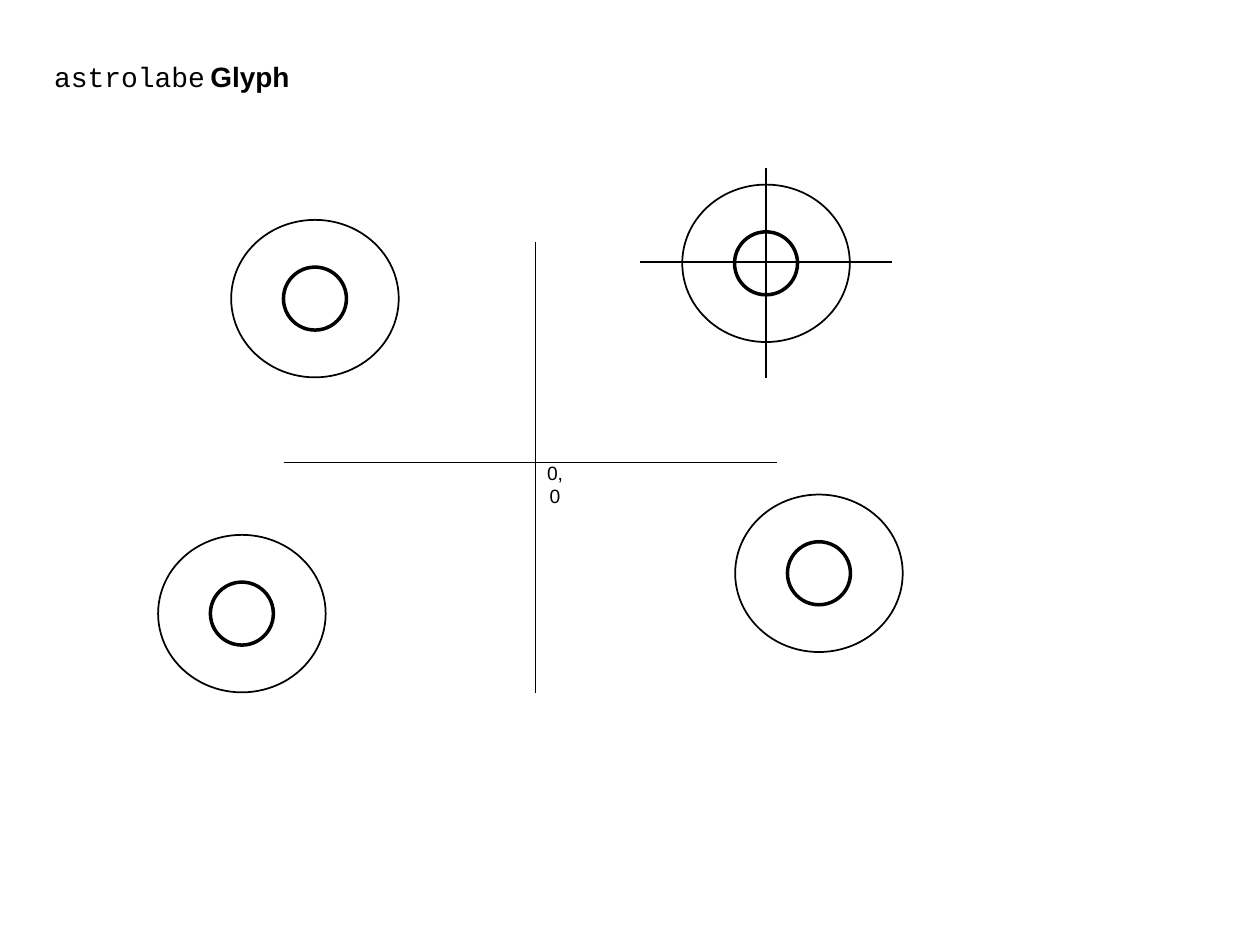
"""Build the astrolabe Glyph slide: four glyphs placed around an origin."""
from dataclasses import dataclass

from lxml.etree import SubElement
from pptx import Presentation
from pptx.dml.color import RGBColor
from pptx.enum.shapes import MSO_CONNECTOR as CONN, MSO_SHAPE as SHAPE
from pptx.enum.text import MSO_ANCHOR as ANCHOR, MSO_AUTO_SIZE as FIT, PP_ALIGN as ALIGN
from pptx.oxml.ns import qn
from pptx.util import Inches, Pt

COLORS = {"ink": "000000"}
INK = RGBColor.from_string(COLORS["ink"])


@dataclass(frozen=True)
class Ring:
    width: float
    height: float
    weight: float


@dataclass(frozen=True)
class Glyph:
    x: float
    y: float


@dataclass(frozen=True)
class Axis:
    x1: float
    y1: float
    x2: float
    y2: float


RINGS = [Ring(0.5, 0.5, 2), Ring(1.33, 1.25, 1)]
GLYPHS = [Glyph(6.08, 2.09), Glyph(6.5, 4.55), Glyph(1.92, 4.87), Glyph(2.5, 2.37)]
ORIGIN_AXES = [Axis(4.25, 1.92, 4.25, 5.5), Axis(2.25, 3.67, 6.17, 3.67)]
GLYPH_AXES = [Axis(5.08, 2.08, 7.08, 2.08), Axis(6.08, 1.33, 6.08, 3)]


def set_attrs(obj, values: dict) -> None:
    """Set each named attribute of an object."""
    for name, value in values.items():
        setattr(obj, name, value)


def draw_axis(slide, axis: Axis) -> None:
    """Draw one thin straight axis."""
    ends = (Inches(v) for v in (axis.x1, axis.y1, axis.x2, axis.y2))
    c = slide.shapes.add_connector(CONN.STRAIGHT, *ends)
    c.line.color.rgb = INK
    c.line.width = Pt(0.75)
    SubElement(c._element.spPr, qn("a:effectLst"))


def draw_glyph(slide, glyph: Glyph) -> None:
    """Draw the rings of a glyph around its centre."""
    for ring in RINGS:
        sp = slide.shapes.add_shape(
            SHAPE.OVAL, Inches(glyph.x - ring.width / 2), Inches(glyph.y - ring.height / 2),
            Inches(ring.width), Inches(ring.height))
        sp.shadow.inherit = False
        sp.fill.background()
        sp.line.color.rgb = INK
        sp.line.width = Pt(ring.weight)


def write_runs(p, runs: list) -> None:
    """Add formatted runs to a paragraph."""
    for text, size, font, bold in runs:
        r = p.add_run()
        r.text = text
        set_attrs(r.font, {"size": Pt(size), "name": font, "bold": bold})
        r.font.color.rgb = INK


def format_text(sp, box: tuple, wrap: bool, align, runs: list) -> None:
    """Place a text shape and fill in its only paragraph."""
    set_attrs(sp, dict(zip(("left", "top", "width", "height"), map(Inches, box))))
    tf = sp.text_frame
    set_attrs(tf, {
        "word_wrap": wrap, "auto_size": FIT.SHAPE_TO_FIT_TEXT, "vertical_anchor": ANCHOR.TOP,
        "margin_left": Inches(0.1), "margin_right": Inches(0.1),
        "margin_top": Inches(0.05), "margin_bottom": Inches(0.05)})
    p = tf.paragraphs[0]
    p.alignment = align
    write_runs(p, runs)


def main() -> None:
    """Build and save the slide."""
    prs = Presentation()
    set_attrs(prs, {"slide_width": Inches(10), "slide_height": Inches(7.5)})
    slide = prs.slides.add_slide(prs.slide_layouts[5])

    format_text(slide.shapes.title, (0.33, 0.42, 3.23, 0.37), True, ALIGN.LEFT, [
        ("astrolabe", 16, "Courier New", False),
        (" ", 11, "Arial", False),
        ("Glyph", 16, "Arial", True)])
    for axis in ORIGIN_AXES:
        draw_axis(slide, axis)
    for glyph in GLYPHS:
        draw_glyph(slide, glyph)
    box = (4.18, 3.61, 0.45, 0.29)
    label = slide.shapes.add_textbox(*map(Inches, box))
    format_text(label, box, False, ALIGN.CENTER, [("0, 0", 11, "Arial", False)])
    for axis in GLYPH_AXES:
        draw_axis(slide, axis)

    prs.save("out.pptx")


if __name__ == "__main__":
    main()
